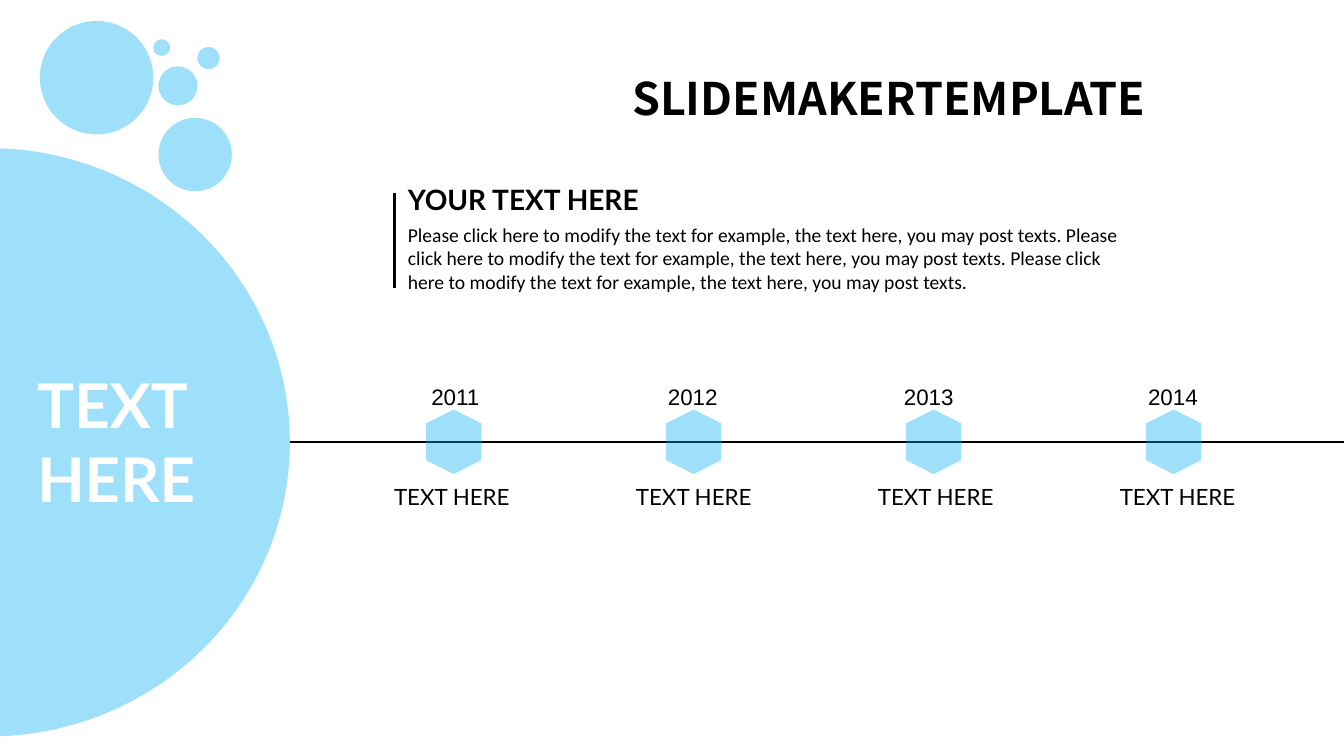
from lxml import etree
from pptx import Presentation
from pptx.dml.color import RGBColor
from pptx.enum.shapes import MSO_CONNECTOR, MSO_SHAPE
from pptx.enum.text import MSO_ANCHOR, MSO_AUTO_SIZE, PP_ALIGN
from pptx.oxml.ns import qn
from pptx.util import Pt

STRAIGHT = MSO_CONNECTOR.STRAIGHT
OVAL, PIE, HEXAGON = MSO_SHAPE.OVAL, MSO_SHAPE.PIE, MSO_SHAPE.HEXAGON
TOP, MIDDLE = MSO_ANCHOR.TOP, MSO_ANCHOR.MIDDLE
LEFT, CENTER = PP_ALIGN.LEFT, PP_ALIGN.CENTER
SKY = RGBColor(0x00, 0xB0, 0xF0)
BLACK = RGBColor(0, 0, 0)
WHITE = RGBColor(255, 255, 255)
SKY_ALPHA = 38000

TITLE = "SLIDEMAKERTEMPLATE"
SIDE_WORDS = ["TEXT", "HERE"]
HEADING = "YOUR TEXT HERE"
BODY = " ".join(
    ["Please click here to modify the text for example, the text here, you may post texts."] * 3
)
MILESTONES = [("2011", 301), ("2012", 470), ("2013", 638.6), ("2014", 813)]
MILESTONE_LABEL = "TEXT HERE"
BUBBLES = [
    (28.5, 15, 81),
    (109.5, 28, 12),
    (141, 33.6, 15.8),
    (113.2, 47.4, 27.9),
    (113.2, 84.2, 52.4),
]

PAGE_WIDTH, PAGE_HEIGHT = 960, 540
AXIS_Y = 315.6
HEX_WIDTH, HEX_HEIGHT = 46, 39.5
HEX_FIRST, HEX_STEP = 301, 171.4
LABEL_FIRST, LABEL_STEP = 274.4, 172.8

TITLE_STYLE = dict(name="Noto Sans CJK SC", size=Pt(32), bold=True)
SIDE_STYLE = dict(name="Lato", size=Pt(44), bold=True)
HEADING_STYLE = dict(name="Lato", size=Pt(20), bold=True)
BODY_STYLE = dict(name="Calibri", size=Pt(14))
YEAR_STYLE = dict(name="Arial", size=Pt(16))
LABEL_STYLE = dict(name="Lato", size=Pt(16))


def fill_text(box, lines, style, color=BLACK, wrap=False, align=LEFT, anchor=TOP):
    frame = box.text_frame
    frame.text = "\n".join(lines)
    frame.word_wrap = wrap
    frame.auto_size = MSO_AUTO_SIZE.NONE
    frame.vertical_anchor = anchor
    for para in frame.paragraphs:
        para.alignment = align
        for span in para.runs:
            for key, value in style.items():
                setattr(span.font, key, value)
            span.font.color.rgb = color


def add_text(shapes, place, lines, style, **options):
    box = shapes.add_textbox(*map(Pt, place))
    fill_text(box, lines, style, **options)


def add_sky_shape(shapes, kind, place, rotation=0):
    shape = shapes.add_shape(kind, *map(Pt, place))
    shape.rotation = rotation
    shape.shadow.inherit = False
    shape.line.fill.background()
    shape.fill.solid()
    shape.fill.fore_color.rgb = SKY
    color = shape.fill._xPr.find(qn("a:solidFill"))[0]
    etree.SubElement(color, qn("a:alpha"), val=str(SKY_ALPHA))
    return shape


def add_line(shapes, ends, width):
    line = shapes.add_connector(STRAIGHT, *map(Pt, ends))
    line.line.color.rgb = BLACK
    line.line.width = Pt(width)
    etree.SubElement(line._element.spPr, qn("a:effectLst"))


def main():
    deck = Presentation()
    deck.slide_width, deck.slide_height = Pt(PAGE_WIDTH), Pt(PAGE_HEIGHT)
    page = deck.slides.add_slide(deck.slide_layouts[5])
    shapes = page.shapes

    title = shapes.title
    title.left, title.top, title.width, title.height = map(Pt, (428, 47.5, 414, 44))
    fill_text(title, [TITLE], TITLE_STYLE, align=CENTER, anchor=MIDDLE)

    for left, top, size in BUBBLES:
        add_sky_shape(shapes, OVAL, (left, top, size, size))
    half_disc = add_sky_shape(shapes, PIE, (-223, 105.8, 430, 420.2), 180)
    half_disc.adjustments[0] = 53.92
    half_disc.adjustments[1] = 162
    add_text(shapes, (19.6, 258.5, 210, 114), SIDE_WORDS, SIDE_STYLE, color=WHITE, wrap=True)

    add_line(shapes, (207, AXIS_Y, PAGE_WIDTH, AXIS_Y), 1)
    for index, (year, year_left) in enumerate(MILESTONES):
        hex_left = HEX_FIRST + index * HEX_STEP
        hex_top = AXIS_Y - HEX_HEIGHT / 2
        add_sky_shape(shapes, HEXAGON, (hex_left, hex_top, HEX_WIDTH, HEX_HEIGHT), 90)
        add_text(shapes, (year_left, 270, 50, 26.6), [year], YEAR_STYLE)
        label_left = LABEL_FIRST + index * LABEL_STEP
        add_text(shapes, (label_left, 341.3, 100.8, 26.6), [MILESTONE_LABEL], LABEL_STYLE)

    intro = shapes.add_group_shape().shapes
    add_text(intro, (284.2, 155.5, 525.6, 58.3), [BODY], BODY_STYLE, wrap=True)
    add_text(intro, (284.2, 126.7, 192.2, 31.7), [HEADING], HEADING_STYLE)
    add_line(intro, (281.8, 137.7, 281.8, 205.4), 2)

    deck.save("out.pptx")


if __name__ == "__main__":
    main()
